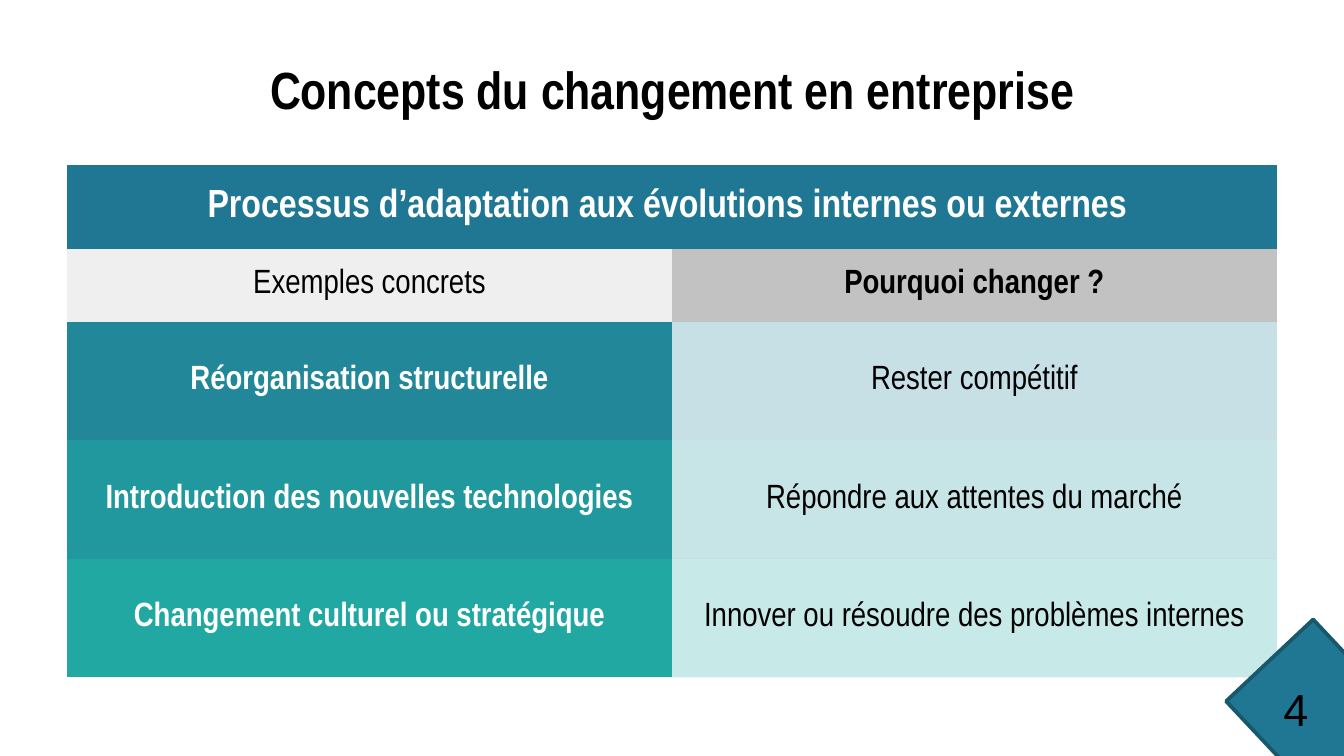
from lxml.etree import SubElement
from pptx import Presentation
from pptx.dml.color import RGBColor
from pptx.enum.shapes import MSO_SHAPE as Shape
from pptx.enum.text import MSO_ANCHOR as Anchor, PP_ALIGN as Align
from pptx.oxml.ns import qn
from pptx.util import Pt

COLORS = {
    "black": "000000", "white": "FFFFFF", "blue": "207794", "edge": "18586D",
    "light": "EFEFEF", "grey": "C2C2C2",
    "teal": "218799", "sea": "21979E", "mint": "22A8A2",
}
PLAIN_STYLE = "{2D5ABB26-0587-4C30-8999-92F81FD0307C}"


def color(name):
    return RGBColor.from_string(COLORS[name])


class SlideBuilder:
    font = "Arial Narrow"
    inset = 7.2

    def __init__(self, page):
        self.page = page

    def add_span(self, frame, text, size, ink="black", bold=False, align=Align.CENTER, font=None):
        para = frame.paragraphs[0]
        para.alignment = align
        span = para.add_run()
        span.text = text
        formats = {"name": font or self.font, "size": Pt(size), "bold": bold}
        for name, value in formats.items():
            setattr(span.font, name, value)
        span.font.color.rgb = color(ink)

    def text(self, left, top, width, height, text, size, anchor=Anchor.MIDDLE, **style):
        box = self.page.shapes.add_textbox(Pt(left), Pt(top), Pt(width), Pt(height))
        frame = box.text_frame
        frame.word_wrap = True
        frame.vertical_anchor = anchor
        self.add_span(frame, text, size, **style)

    def diamond(self, left, top, width, height, angle):
        box = self.page.shapes.add_shape(Shape.RECTANGLE, Pt(left), Pt(top), Pt(width), Pt(height))
        box.rotation = angle
        box.shadow.inherit = False
        box.fill.solid()
        box.fill.fore_color.rgb = color("blue")
        box.line.color.rgb = color("edge")
        box.line.width = Pt(2)

    def table(self, left, top, widths, heights):
        table = self.page.shapes.add_table(
            len(heights), len(widths), Pt(left), Pt(top), Pt(sum(widths)), Pt(sum(heights))
        ).table
        for flag in ("first_row", "horz_banding"):
            setattr(table, flag, False)
        table._tbl.tblPr.find(qn("a:tableStyleId")).text = PLAIN_STYLE
        for column, width in zip(table.columns, widths):
            column.width = Pt(width)
        for row, height in zip(table.rows, heights):
            row.height = Pt(height)
        return table

    def cell(self, cell, text, fill, size=18, opacity=None, **style):
        for side in ("left", "top", "right", "bottom"):
            setattr(cell, f"margin_{side}", Pt(self.inset))
        cell.vertical_anchor = Anchor.MIDDLE
        cell.fill.solid()
        cell.fill.fore_color.rgb = color(fill)
        if opacity:
            paint = cell._tc.tcPr.find(qn("a:solidFill"))[0]
            SubElement(paint, qn("a:alpha")).set("val", str(opacity * 1000))
        self.add_span(cell.text_frame, text, size, **style)


def main():
    deck = Presentation()
    deck.slide_width, deck.slide_height = Pt(720), Pt(405)
    builder = SlideBuilder(deck.slides.add_slide(deck.slide_layouts[6]))

    builder.text(36, 32.4, 648, 30, "Concepts du changement en entreprise", 28, bold=True)

    table = builder.table(36, 88.4, [324] * 2, [45, 39] + [63.5] * 3)
    header = table.cell(0, 0)
    header.merge(table.cell(0, 1))
    builder.cell(header, "Processus d’adaptation aux évolutions internes ou externes ",
                 "blue", size=21, ink="white", bold=True)
    builder.cell(table.cell(1, 0), "Exemples concrets", "light")
    builder.cell(table.cell(1, 1), "Pourquoi changer ?", "grey", bold=True)

    rows = [
        ("Réorganisation structurelle", "Rester compétitif", "teal"),
        ("Introduction des nouvelles technologies", "Répondre aux attentes du marché", "sea"),
        ("Changement culturel ou stratégique", "Innover ou résoudre des problèmes internes", "mint"),
    ]
    for index, (example, reason, fill) in enumerate(rows, start=2):
        builder.cell(table.cell(index, 0), example, fill, ink="white", bold=True)
        builder.cell(table.cell(index, 1), reason, fill, opacity=25)

    builder.diamond(658, 373, 140.4, 64, 46.8)
    builder.text(680.4, 361.6, 34, 36, "4", 24, anchor=Anchor.TOP, align=Align.LEFT, font="Arial")

    deck.save("out.pptx")


if __name__ == "__main__":
    main()
